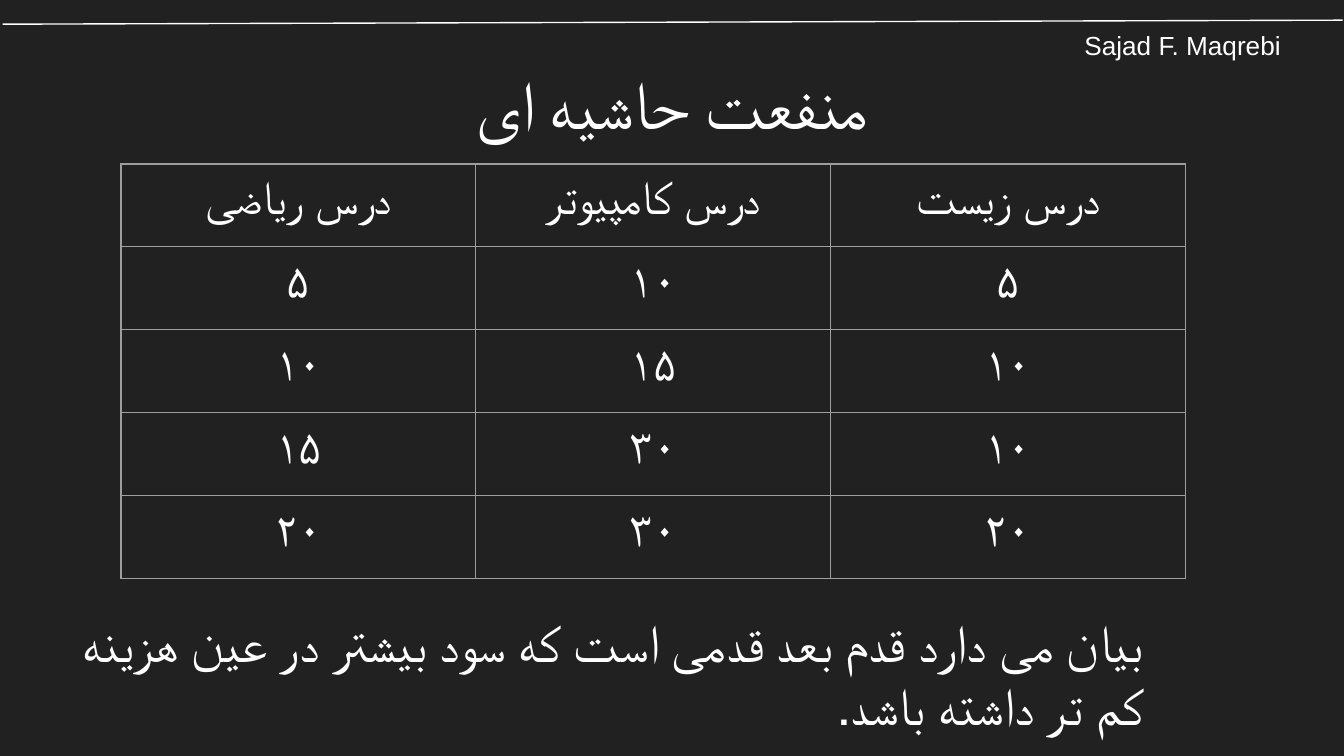
from dataclasses import dataclass

from pptx import Presentation
from pptx import util as u
from pptx.dml.color import RGBColor
from pptx.enum import shapes, text
from pptx.oxml import parse_xml
from pptx.oxml.ns import nsdecls

AUTHOR = "Sajad F. Maqrebi"
TITLE = "منفعت حاشیه ای"
TABLE_ROWS = [
    ("درس ریاضی", "درس کامپیوتر", "درس زیست"),
    ("۵", "۱۰", "۵"),
    ("۱۰", "۱۵", "۱۰"),
    ("۱۵", "۳۰", "۱۰"),
    ("۲۰", "۳۰", "۲۰"),
]
CONCLUSION = "بیان می دارد قدم بعد قدمی است که سود بیشتر در عین هزینه کم تر داشته باشد."


@dataclass(frozen=True)
class Theme:
    font: str = "Arial"
    background: str = "212121"
    foreground: str = "FFFFFF"
    border: str = "9E9E9E"
    line_width: float = 0.75
    author_size: int = 14
    title_size: int = 36
    cell_size: int = 25
    conclusion_size: int = 28


THEME = Theme()
SLIDE_WIDTH = u.Inches(10)
SLIDE_HEIGHT = SLIDE_WIDTH * 9 // 16
MARGIN = u.Inches(0.1)
COLUMN_WIDTH = u.Inches(2.64)
ROW_HEIGHT = u.Inches(0.42)
ALIGN = text.PP_ALIGN


def write(frame, content, size, align, rtl=False):
    frame.text = content
    paragraph = frame.paragraphs[0]
    paragraph.alignment = align
    if rtl:
        paragraph._p.get_or_add_pPr().set("rtl", "1")
    font = paragraph.runs[0].font
    font.name = THEME.font
    font.size = u.Pt(size)
    font.color.rgb = RGBColor.from_string(THEME.foreground)


def set_margins(holder):
    holder.margin_left = holder.margin_right = MARGIN
    holder.margin_top = holder.margin_bottom = MARGIN


def add_text(slide, box, content, size, align, anchor=text.MSO_ANCHOR.MIDDLE, rtl=False):
    frame = slide.shapes.add_textbox(*map(u.Inches, box)).text_frame
    frame.word_wrap = True
    frame.vertical_anchor = anchor
    set_margins(frame)
    write(frame, content, size, align, rtl)


def add_rule(slide):
    rule = slide.shapes.add_connector(
        shapes.MSO_CONNECTOR.STRAIGHT,
        u.Inches(0.02), u.Inches(0.18), u.Inches(9.99), u.Inches(0.15))
    rule.line.color.rgb = RGBColor.from_string(THEME.foreground)
    rule.line.width = u.Pt(THEME.line_width)
    rule._element.spPr.append(parse_xml(f'<a:effectLst {nsdecls("a")}/>'))


def add_borders(cell):
    properties = cell._tc.get_or_add_tcPr()
    for position, side in enumerate(("lnL", "lnR", "lnT", "lnB")):
        properties.insert(position, parse_xml(
            f'<a:{side} {nsdecls("a")} w="{u.Pt(THEME.line_width)}"><a:solidFill>'
            f'<a:srgbClr val="{THEME.border}"/></a:solidFill></a:{side}>'))


def add_benefit_table(slide):
    row_count, column_count = len(TABLE_ROWS), len(TABLE_ROWS[0])
    table = slide.shapes.add_table(
        row_count, column_count, u.Inches(0.9), u.Inches(1.22),
        COLUMN_WIDTH * column_count, ROW_HEIGHT * row_count).table
    table.first_row = table.horz_banding = False
    for column in table.columns:
        column.width = COLUMN_WIDTH
    for row, values in zip(table.rows, TABLE_ROWS):
        row.height = ROW_HEIGHT
        for cell, value in zip(row.cells, values):
            set_margins(cell)
            cell.fill.background()
            add_borders(cell)
            write(cell.text_frame, value, THEME.cell_size, ALIGN.CENTER, rtl=True)


def main():
    presentation = Presentation()
    presentation.slide_width = SLIDE_WIDTH
    presentation.slide_height = SLIDE_HEIGHT
    slide = presentation.slides.add_slide(presentation.slide_layouts[6])
    slide.background.fill.solid()
    slide.background.fill.fore_color.rgb = RGBColor.from_string(THEME.background)

    add_text(slide, (7.97, 0.12, 1.9, 0.25), AUTHOR, THEME.author_size,
             ALIGN.LEFT, text.MSO_ANCHOR.TOP)
    add_rule(slide)
    add_text(slide, (0.34, 0.3, 9.32, 0.92), TITLE, THEME.title_size, ALIGN.CENTER)
    add_benefit_table(slide)
    add_text(slide, (0.25, 4.55, 8.36, 0.92), CONCLUSION, THEME.conclusion_size,
             ALIGN.RIGHT, rtl=True)
    presentation.save("out.pptx")


if __name__ == "__main__":
    main()
